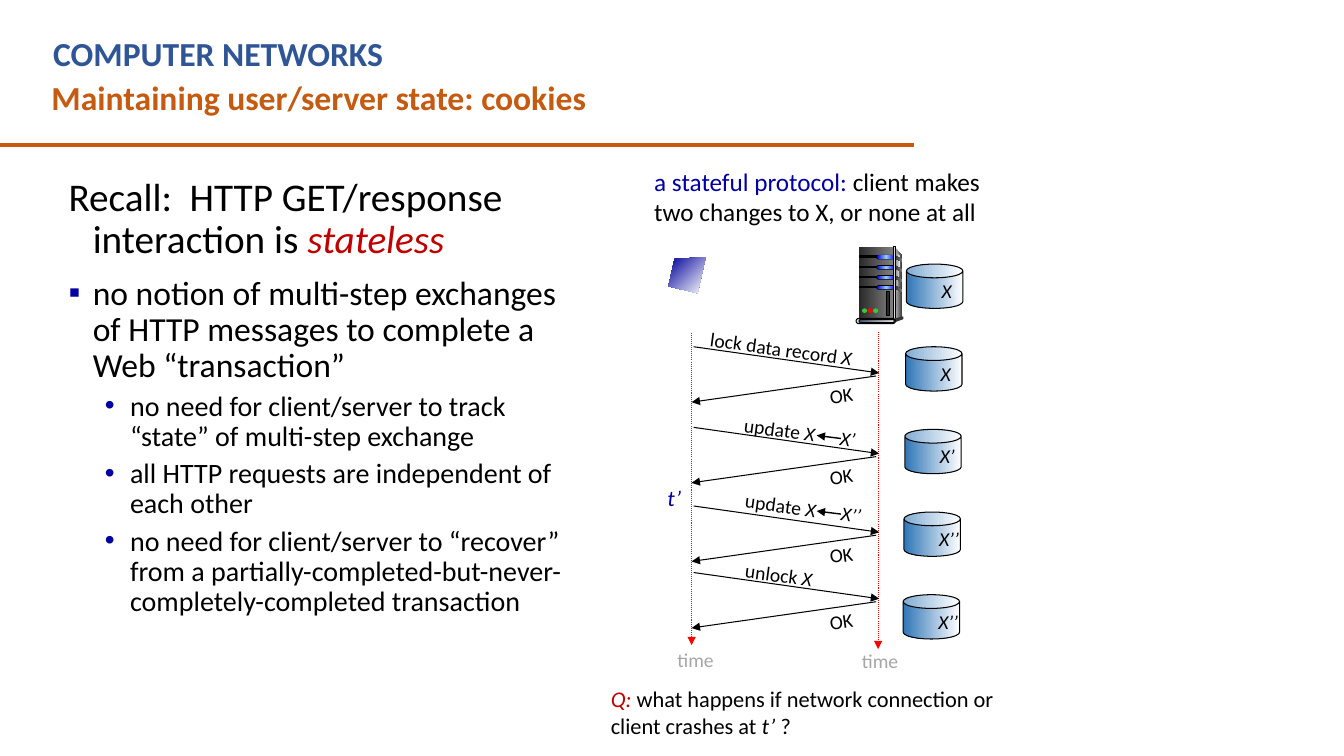
from copy import deepcopy
from pptx import Presentation
from pptx.dml.color import RGBColor
from pptx.enum.dml import MSO_LINE
from pptx.enum.shapes import MSO_CONNECTOR, MSO_SHAPE
from pptx.enum.text import MSO_ANCHOR, MSO_AUTO_SIZE, PP_ALIGN
from pptx.oxml import parse_xml
from pptx.oxml.ns import nsdecls, qn
from pptx.util import Inches, Pt

RECT, ROUND = MSO_SHAPE.RECTANGLE, MSO_SHAPE.ROUNDED_RECTANGLE
OVAL, CAN = MSO_SHAPE.OVAL, MSO_SHAPE.CAN
STRAIGHT, DOTS = MSO_CONNECTOR.STRAIGHT, MSO_LINE.ROUND_DOT


class Theme:
    font = "Calibri"
    black, gray, red, dark_red = "000000", "A6A6A6", "FF0000", "C00000"
    navy, blue, rust = "0000A3", "2F5597", "C55A11"
    steel, char, coal, silver = ["292929", "808080"], "333333", "292929", "DDDDDD"
    side, edge = ["DDDDDD", "333333"], ["333333", "DDDDDD", "333333"]
    glass, foot = ["808080", "F8F8F8"], ["44546A", "E7E6E6"]
    lamp, green = ["0000FF", "99CCFF", "0000FF"], "33CC33"
    disk, screen = ["2E75B6", "FFFFFF"], ["000099", "FFFFFF"]
    head, lead, item, sub = 24, 28, 24, 20
    intro, ask, label = 18, 16, 14


T = Theme
CELL = Inches(0.1)  # every place and length below counts grid cells


def paint(shape, fill, line=None, angle=0):
    """Fill with one colour or a list of gradient colours."""
    shape.shadow.inherit = False
    if isinstance(fill, str):
        shape.fill.solid()
        shape.fill.fore_color.rgb = RGBColor.from_string(fill)
    else:
        shape.fill.gradient()
        shape.fill.gradient_angle = angle
        stops = shape._element.spPr.find(".//" + qn("a:gsLst"))
        for _ in fill[2:]:
            stops.insert(1, deepcopy(stops[0]))
        for i, stop in enumerate(shape.fill.gradient_stops):
            stop.color.rgb = RGBColor.from_string(fill[i])
            stop.position = i / (len(fill) - 1)
    if line:
        shape.line.color.rgb = RGBColor.from_string(line)
        shape.line.width = Pt(0.75)
    else:
        shape.line.fill.background()


def write(par, runs, size, bold=False):
    """Add runs of (text, colour, italic) to a paragraph."""
    for text, color, slant in runs:
        run = par.add_run()
        run.text = text
        run.font.name, run.font.size = T.font, Pt(size)
        run.font.bold, run.font.italic = bold, slant
        run.font.color.rgb = RGBColor.from_string(color)


prs = Presentation()
prs.slide_width, prs.slide_height = Inches(13.33), Inches(7.5)
slide = prs.slides.add_slide(prs.slide_layouts[1])
shapes = slide.shapes
title, body = slide.placeholders

# Title and list placeholders
for holder, at in ((title, (4.1, 7.1, 87.5, 5)), (body, (4.3, 17.1, 53.8, 52.4))):
    holder.left, holder.top, holder.width, holder.height = [int(v * CELL) for v in at]
    frame = holder.text_frame
    frame.auto_size, frame.vertical_anchor = MSO_AUTO_SIZE.NONE, MSO_ANCHOR.TOP
    frame.word_wrap = True
head = title.text_frame.paragraphs[0]
head.alignment = PP_ALIGN.LEFT
write(head, [("Maintaining user/server state: cookies", T.rust, False)], T.head, True)

# List: level, bullet, size, runs
items = [
    (0, None, T.lead, [("Recall:  HTTP GET/response interaction is ", T.black, False),
                       ("stateless", T.dark_red, True)]),
    (0, "▪", T.item, [("no notion of multi-step exchanges of HTTP messages "
                       "to complete a Web “transaction”", T.black, False)])]
for text in ("no need for client/server to track “state” of multi-step exchange",
             "all HTTP requests are independent of each other",
             "no need for client/server to “recover” from a "
             "partially-completed-but-never-completely-completed transaction"):
    items.append((1, "•", T.sub, [(text, T.black, False)]))
for i, (level, mark, size, runs) in enumerate(items):
    par = body.text_frame.paragraphs[0] if i == 0 else body.text_frame.add_paragraph()
    par.level, par.line_spacing = level, 0.9
    par.space_before = Pt((10, 5)[level] if i else 0)
    props = par._p.get_or_add_pPr()
    left, hang = ((0.39, -0.24), (0.76, -0.25))[level]
    props.set("marL", str(Inches(left)))
    props.set("indent", str(Inches(hang)))
    if mark:
        for tag in (f'<a:buClr {nsdecls("a")}><a:srgbClr val="{T.navy}"/></a:buClr>',
                    f'<a:buFont {nsdecls("a")} typeface="Arial"/>',
                    f'<a:buChar {nsdecls("a")} char="{mark}"/>'):
            props.append(parse_xml(tag))
    else:
        props.append(parse_xml(f'<a:buNone {nsdecls("a")}/>'))
    write(par, runs, size)

# Server: (kind, place, fill, line)
parts = [
    (None, [(88.8, 24.6), (89.5, 25.4), (89.5, 31.4), (88.6, 31.7)], T.side, None),
    (RECT, (85.2, 24.5, 3.4, 7.1), T.steel, None),
    (None, [(88.8, 25), (89.3, 25.5), (89, 28.5), (88.8, 31.5)], T.glass, None)]
for bay in range(4):
    y = 25.3 + bay
    parts += [
        (RECT, (85.2, y + 0.1, 1.9, 0.15), T.black, T.black),
        (ROUND, (86.9, y, 1.9, 0.45), T.black, None),
        (ROUND, (87, y + 0.05, 1.8, 0.33), T.lamp, None),
        (None, [(88.7, y), (89.5, y + 0.45), (89.5, y + 0.7), (88.7, y + 0.3)],
         T.steel, None)]
parts += [
    (RECT, (88.6, 24.5, 0.2, 7.2), T.edge, T.black),
    (OVAL, (89.4, 31.4, 0.2, 0.3), T.char, None),
    (None, [(88.7, 31.6), (88.7, 32), (89.5, 31.7), (89.5, 31.4)], T.char, None),
    (ROUND, (84.9, 31.6, 3.9, 0.5), T.silver, T.black),
    (ROUND, (85.2, 31.7, 3.5, 0.3), T.foot, T.black),
    (RECT, (87.9, 28.9, 0.3, 2.4), T.coal, T.black)]
for i, color in enumerate((T.green, T.red, T.green)):
    parts.append((OVAL, (85.5 + 0.55 * i, 30.6, 0.5, 0.45), color, None))

# Client screen
parts.append((None, [(70, 25.5), (66.9, 25.7), (66.3, 28.4), (69.2, 29.1)],
              T.screen, None))

# Notes: (place, size, turn, runs)
notes = [
    ((63.9, 16, 36.6, 7.1), T.intro, 0,
     [("a stateful protocol: ", T.navy, False),
      ("client makes two changes to X, or none at all", T.black, False)]),
    ((66.2, 63.8, 7, 3.4), T.label, 0, [("time", T.gray, False)]),
    ((84.5, 63.9, 7, 3.4), T.label, 0, [("time", T.gray, False)]),
    ((65.2, 47.5, 4.5, 3.7), T.ask, 0, [("t’", T.navy, True)]),
    ((59.6, 67.5, 45, 6.4), T.ask, 0,
     [("Q: ", T.dark_red, True),
      ("what happens if network connection or client crashes at ", T.black, False),
      ("t’ ", T.black, True), ("?", T.black, False)])]

# Record states at the server
for i, state in enumerate(("X", "X", "X’", "X’’", "X’’")):
    x, y = 89.9 - 0.08 * i, 26.2 + 8.2 * i
    parts.append((CAN, (x, y, 5.6, 4.4), T.disk, T.black))
    notes.append(((x + 2.5, y + 1, 5, 3.4), T.label, 0, [(state, T.black, True)]))

# Lines: (from, to, colour, width, dash, arrow)
lines = [
    ((0, 14.4), (90.7, 14.4), T.rust, 3, None, False),
    ((68.6, 33), (68.6, 64), T.red, 0.75, DOTS, True),
    ((87.1, 32.9), (87.1, 64.4), T.red, 0.75, DOTS, True)]

# Each call, its label and its reply
for y, at, verb, state in ((34.4, (69.4, 33, 17.1, 3.4), "lock data record ", "X"),
                           (42.4, (72.8, 41.3, 14.6, 3.4), "update ", "X\tX’"),
                           (50.2, (72.9, 48.8, 14.6, 3.4), "update ", "X\tX’’"),
                           (56.8, (72.9, 55.6, 12.3, 3.4), "unlock ", "X")):
    lines += [((68.8, y), (87.2, y + 2.6), T.black, 0.75, None, True),
              ((86.9, y + 2.9), (68.6, y + 5.5), T.black, 0.75, None, True)]
    notes += [(at, T.label, 7.7, [(verb, T.black, False), (state, T.black, True)]),
              ((81.3, y + 3.1, 5.1, 3.4), T.label, -8.2, [("OK", T.black, False)])]
    if "\t" in state:
        lines.append(((83.4, at[1] + 2.2), (81, at[1] + 1.9), T.black, 1, None, True))

# Draw the shapes
for kind, at, fill, line in parts:
    if kind is None:
        pts = [(int(x * CELL), int(y * CELL)) for x, y in at]
        pen = shapes.build_freeform(*pts[0], scale=1.0)
        pen.add_line_segments(pts[1:], close=True)
        shape = pen.convert_to_shape()
    else:
        shape = shapes.add_shape(kind, *[int(v * CELL) for v in at])
        if kind in (ROUND, CAN):
            shape.adjustments[0] = 0.5 if kind == ROUND else 0.31
    paint(shape, fill, line, 315 if fill is T.screen else 0)

# Draw the lines
for start, end, color, width, dash, arrow in lines:
    link = shapes.add_connector(STRAIGHT, *[int(v * CELL) for v in start + end])
    link.line.color.rgb = RGBColor.from_string(color)
    link.line.width = Pt(width)
    if dash:
        link.line.dash_style = dash
    if arrow:
        link.line._get_or_add_ln().append(
            parse_xml(f'<a:tailEnd {nsdecls("a")} type="triangle"/>'))
    link._element.spPr.append(parse_xml(f'<a:effectLst {nsdecls("a")}/>'))

# Write the course name and the notes
notes.append(((4.3, 2.8, 82, 5), T.head, 0, [("COMPUTER NETWORKS", T.blue, False)]))
for at, size, turn, runs in notes:
    box = shapes.add_textbox(*[int(v * CELL) for v in at])
    box.rotation = turn
    box.text_frame.word_wrap = True
    par = box.text_frame.paragraphs[0]
    if "\t" in runs[-1][0]:
        par._p.get_or_add_pPr().append(parse_xml(
            f'<a:tabLst {nsdecls("a")}><a:tab pos="{int(9.6 * CELL)}" algn="l"/></a:tabLst>'))
    write(par, runs, size, size == T.head)

prs.save("out.pptx")
